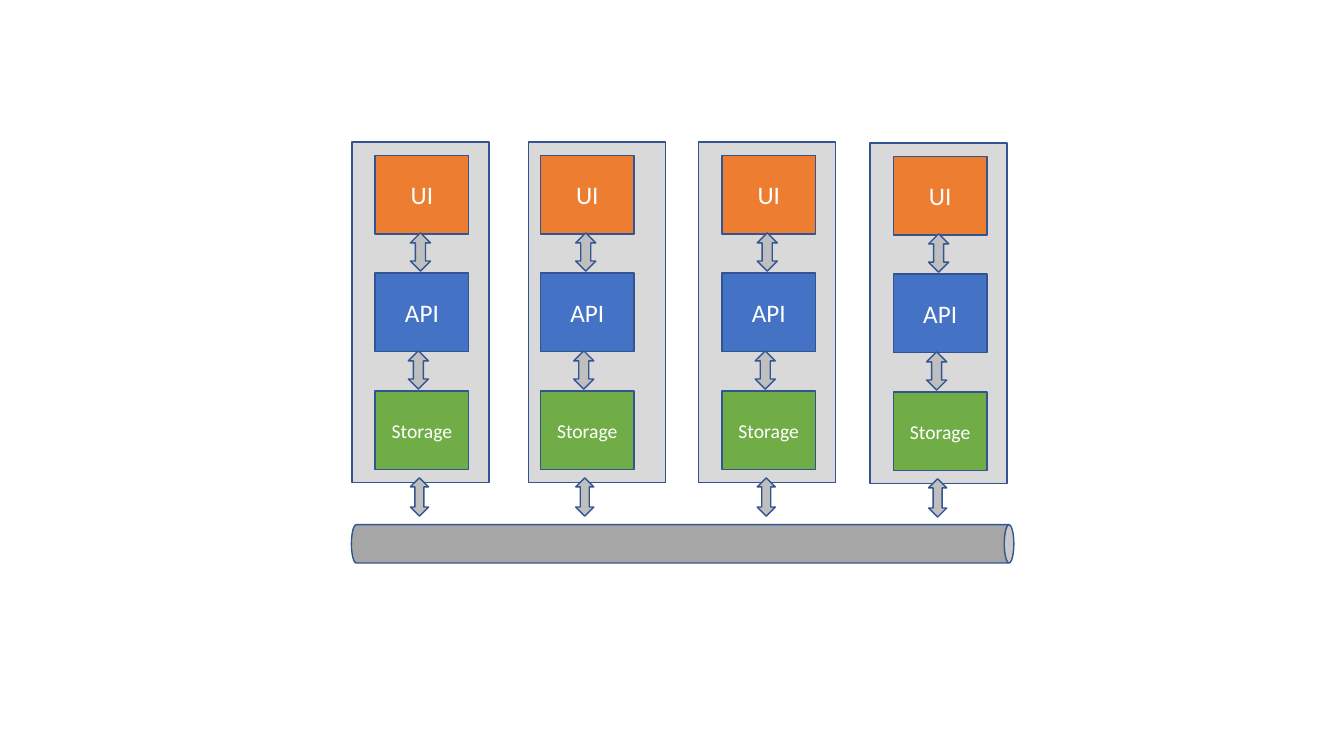
import dataclasses

import pptx
import pptx.dml.color
import pptx.enum.shapes
import pptx.enum.text
import pptx.util

KIND = pptx.enum.shapes.MSO_SHAPE
PX = 9144  # EMU per px, 100 px to the inch


@dataclasses.dataclass(frozen=True)
class Theme:
    font: str = "Calibri"
    text: str = "FFFFFF"
    edge: str = "325491"
    panel: str = "D9D9D9"
    arrow: str = "BFBFBF"
    bus: str = "A6A6A6"
    ui: str = "ED7D31"
    api: str = "4472C4"
    store: str = "70AD47"
    large: int = 18
    small: int = 14


THEME = Theme()
TIERS = [
    ("UI", THEME.ui, THEME.large),
    ("API", THEME.api, THEME.large),
    ("Storage", THEME.store, THEME.small),
]
# Left, top and width of the arrow below each tier, from the tier column
ARROWS = [(35, 90, 20), (33, 207, 20), (35, 333, 18)]
# Left and top of each stack, and the inset of its tiers
STACKS = [(349, 141, 23), (524, 141, 12), (693, 141, 23), (863, 142, 23)]


def color(code):
    return pptx.dml.color.RGBColor.from_string(code)


def draw(shapes, kind, box, fill):
    shape = shapes.add_shape(kind, *(n * PX for n in box))
    shape.shadow.inherit = False
    shape.fill.solid()
    shape.fill.fore_color.rgb = color(fill)
    shape.line.color.rgb = color(THEME.edge)
    shape.line.width = pptx.util.Pt(1)
    return shape


def label(shape, text, size):
    frame = shape.text_frame
    frame.vertical_anchor = pptx.enum.text.MSO_ANCHOR.MIDDLE
    para = frame.paragraphs[0]
    para.text = text
    para.alignment = pptx.enum.text.PP_ALIGN.CENTER
    para.font.name = THEME.font
    para.font.size = pptx.util.Pt(size)
    para.font.color.rgb = color(THEME.text)


def stack(slide, box, inset):
    """Draw one panel with its tiers and the arrows that link them."""
    left, top, _, _ = box
    shapes = slide.shapes.add_group_shape().shapes
    draw(shapes, KIND.RECTANGLE, box, THEME.panel)
    for row, (text, fill, size) in enumerate(TIERS):
        place = (left + inset, top + 13 + 117 * row, 93, 78)
        label(draw(shapes, KIND.RECTANGLE, place, fill), text, size)
    for dx, dy, width in ARROWS:
        place = (left + inset + dx, top + dy, width, 38)
        draw(shapes, KIND.UP_DOWN_ARROW, place, THEME.arrow)


def bus(slide, box):
    """Draw a can turned on its side so that it fills the box."""
    left, top, width, height = box
    shift = (width - height) // 2
    place = (left + shift, top - shift, height, width)
    draw(slide.shapes, KIND.CAN, place, THEME.bus).rotation = 90


def main():
    deck = pptx.Presentation()
    deck.slide_width, deck.slide_height = 1333 * PX, 750 * PX
    slide = deck.slides.add_slide(deck.slide_layouts[6])
    for left, top, inset in STACKS:
        stack(slide, (left, top, 136, 338), inset)
    bus(slide, (349, 520, 657, 38))
    deck.save("out.pptx")


if __name__ == "__main__":
    main()
